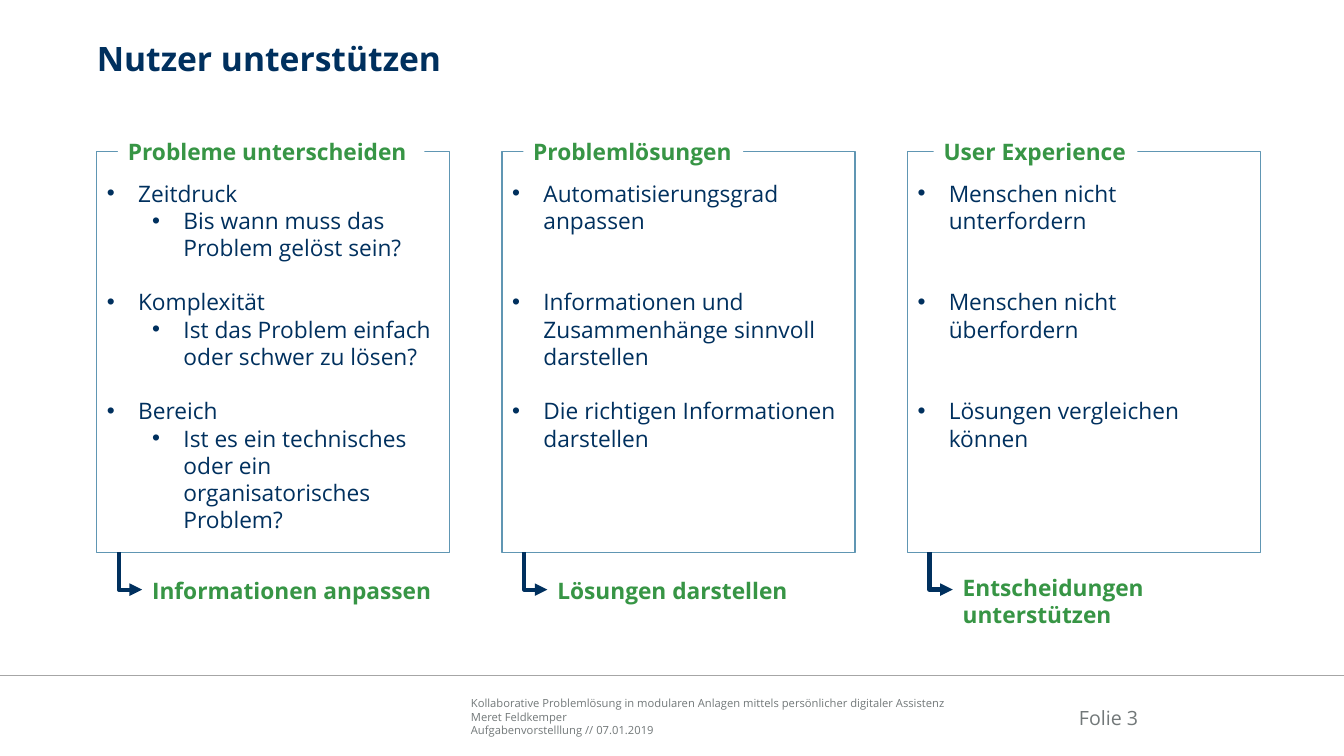
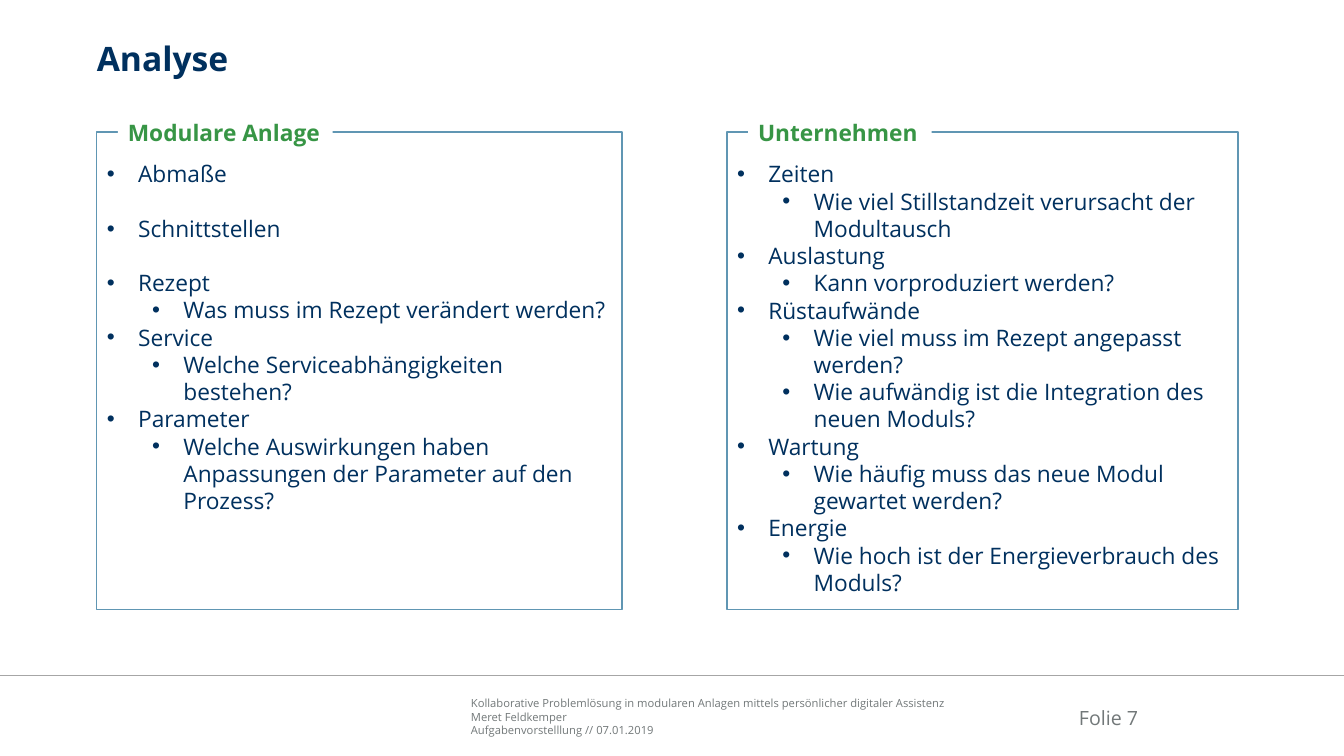
from dataclasses import dataclass
from typing import Optional

from lxml.etree import SubElement
from pptx import Presentation
from pptx.dml.color import RGBColor
from pptx.enum.shapes import MSO_CONNECTOR, MSO_SHAPE
from pptx.enum.text import MSO_ANCHOR, MSO_AUTO_SIZE, PP_ALIGN
from pptx.oxml.ns import qn
from pptx.util import Inches, Pt

COLORS = {
    "navy": "00305E", "green": "379545", "frame": "6096B3",
    "grey": "727879", "rule": "A6A6A6", "white": "FFFFFF",
}
FONT = "Open Sans"
BODY_SIZE = 16.2
BLANK_LINE = 1.2 * BODY_SIZE
WIDTH, HEIGHT = 13.33, 7.5
MARGIN = 0.96
LABEL_HEIGHT = 0.37
LABEL_INDENT = 0.21
RULE_TOP = 6.7
COMPARISON_LAYOUT = 4
BODY_INDEXES = (1, 2, 3, 4)
FOOTER = (
    "Kollaborative Problemlösung in modularen Anlagen mittels persönlicher digitaler Assistenz",
    "Meret Feldkemper",
    "Aufgabenvorstelllung // 07.01.2019",
)


@dataclass(frozen=True)
class Item:
    text: str
    level: int = 0
    blank_lines: int = 0


@dataclass(frozen=True)
class Result:
    text: str
    width: float
    height: float = LABEL_HEIGHT
    drop: float = 0.19


@dataclass(frozen=True)
class Column:
    label: str
    label_width: float
    width: float
    items: tuple[Item, ...]
    label_indent: float = LABEL_INDENT
    result: Optional[Result] = None


@dataclass(frozen=True)
class Page:
    title: str
    number: int
    top: float
    height: float
    pitch: float
    columns: tuple[Column, ...]


PAGES = (
    Page("Nutzer unterstützen", 3, 1.5, 3.98, 4.02, (
        Column("Probleme unterscheiden", 3.04, 3.5, (
            Item("Zeitdruck"),
            Item("Bis wann muss das Problem gelöst sein?", 1),
            Item("Komplexität", 0, 1),
            Item("Ist das Problem einfach oder schwer zu lösen?", 1),
            Item("Bereich", 0, 1),
            Item("Ist es ein technisches oder ein organisatorisches Problem?", 1),
        ), result=Result("Informationen anpassen", 3.04)),
        Column("Problemlösungen", 2.18, 3.5, (
            Item("Automatisierungsgrad anpassen"),
            Item("Informationen und Zusammenhänge sinnvoll darstellen", 0, 2),
            Item("Die richtigen Informationen darstellen", 0, 1),
        ), result=Result("Lösungen darstellen", 2.53)),
        Column("User Experience", 2.02, 3.5, (
            Item("Menschen nicht unterfordern"),
            Item("Menschen nicht überfordern", 0, 2),
            Item("Lösungen vergleichen können", 0, 2),
        ), 0.26, Result("Entscheidungen unterstützen", 3.13, 0.63, 0.17)),
    )),
    Page("Analyse", 7, 1.31, 4.74, 6.25, (
        Column("Modulare Anlage", 2.13, 5.21, (
            Item("Abmaße"),
            Item("Schnittstellen", 0, 1),
            Item("Rezept", 0, 1),
            Item("Was muss im Rezept verändert werden?", 1),
            Item("Service"),
            Item("Welche Serviceabhängigkeiten bestehen?", 1),
            Item("Parameter"),
            Item("Welche Auswirkungen haben Anpassungen der Parameter auf den Prozess?", 1),
        )),
        Column("Unternehmen", 1.82, 5.07, (
            Item("Zeiten"),
            Item("Wie viel Stillstandzeit verursacht der Modultausch", 1),
            Item("Auslastung"),
            Item("Kann vorproduziert werden?", 1),
            Item("Rüstaufwände"),
            Item("Wie viel muss im Rezept angepasst werden?", 1),
            Item("Wie aufwändig ist die Integration des neuen Moduls?", 1),
            Item("Wartung"),
            Item("Wie häufig muss das neue Modul gewartet werden?", 1),
            Item("Energie"),
            Item("Wie hoch ist der Energieverbrauch des Moduls?", 1),
        )),
    )),
)


def color(name: str) -> RGBColor:
    return RGBColor.from_string(COLORS[name])


def style(para, size: float, color_name: str, bold: bool = False, align=PP_ALIGN.LEFT) -> None:
    para.alignment = align
    font = para.font
    font.name, font.size, font.bold = FONT, Pt(size), bold
    font.color.rgb = color(color_name)


def place(shape, left: float, top: float, width: float, height: float) -> None:
    shape.left, shape.top = Inches(left), Inches(top)
    shape.width, shape.height = Inches(width), Inches(height)


def prepare_frame(shape, anchor, insets=(0, 0, 0, 0)):
    """Fix wrapping, anchor and insets (left, top, right, bottom)."""
    frame = shape.text_frame
    frame.word_wrap = True
    frame.auto_size = MSO_AUTO_SIZE.NONE
    frame.vertical_anchor = anchor
    (frame.margin_left, frame.margin_top,
     frame.margin_right, frame.margin_bottom) = map(Inches, insets)
    return frame


def remove_shadow(connector) -> None:
    SubElement(connector.element.spPr, qn("a:effectLst"))


def add_list(box, items: tuple[Item, ...]) -> None:
    frame = prepare_frame(box, MSO_ANCHOR.TOP, (0.1, 0.28, 0.1, 0.05))
    for index, item in enumerate(items):
        para = frame.add_paragraph() if index else frame.paragraphs[0]
        para.text = item.text
        para.level = item.level
        para.space_before = Pt(item.blank_lines * BLANK_LINE)
        para.space_after = Pt(0)
        properties = para._p.get_or_add_pPr()
        properties.set("marL", str(Inches(0.31 + 0.45 * item.level)))
        properties.set("indent", str(Inches(-0.31)))
        SubElement(properties, qn("a:buFont"), typeface="Arial")
        SubElement(properties, qn("a:buChar"), char="•")
        style(para, BODY_SIZE, "navy")


def add_label(slide, text: str, left: float, top: float, width: float, height: float) -> None:
    label = slide.shapes.add_shape(MSO_SHAPE.RECTANGLE, 0, 0, 0, 0)
    place(label, left, top, width, height)
    label.shadow.inherit = False
    label.fill.solid()
    label.fill.fore_color.rgb = color("white")
    label.line.fill.background()
    frame = prepare_frame(label, MSO_ANCHOR.MIDDLE, (0.1, 0.05, 0.1, 0.05))
    frame.text = text
    style(frame.paragraphs[0], BODY_SIZE, "green", bold=True)


def add_arrow(slide, left: float, top: float, width: float, height: float) -> None:
    """Draw an arrow that goes down, then right, as a turned one-bend connector."""
    middle_x, middle_y = left + width / 2, top + height / 2
    arrow = slide.shapes.add_connector(
        MSO_CONNECTOR.ELBOW,
        Inches(middle_x + height / 2), Inches(middle_y - width / 2),
        Inches(middle_x - height / 2), Inches(middle_y + width / 2))
    properties = arrow.element.spPr
    properties.find(qn("a:xfrm")).set("rot", str(270 * 60000))
    properties.find(qn("a:prstGeom")).set("prst", "bentConnector2")
    arrow.line.color.rgb = color("navy")
    arrow.line.width = Pt(3)
    SubElement(arrow.line._get_or_add_ln(), qn("a:tailEnd"), type="triangle")
    remove_shadow(arrow)


def add_column(slide, box, column: Column, page: Page, left: float) -> None:
    place(box, left, page.top, column.width, page.height)
    box.fill.solid()
    box.fill.fore_color.rgb = color("white")
    box.line.color.rgb = color("frame")
    box.line.width = Pt(1)
    add_list(box, column.items)
    add_label(slide, column.label, left + column.label_indent,
              page.top - LABEL_HEIGHT / 2, column.label_width, LABEL_HEIGHT)
    if column.result:
        result, bottom = column.result, page.top + page.height
        add_label(slide, result.text, left + 0.45, bottom + result.drop,
                  result.width, result.height)
        add_arrow(slide, left + 0.22, bottom, 0.23, 0.37)


def move_footer_to_layout(slide) -> None:
    """Draw the rule and the footer text, then let the slide's layout own them."""
    rule = slide.shapes.add_connector(
        MSO_CONNECTOR.STRAIGHT, 0, Inches(RULE_TOP), Inches(WIDTH), Inches(RULE_TOP))
    rule.line.color.rgb = color("rule")
    rule.line.width = Pt(1)
    remove_shadow(rule)
    footer = slide.shapes.add_textbox(0, 0, 0, 0)
    place(footer, 4.67, 6.91, 4.91, 0.4)
    frame = prepare_frame(footer, MSO_ANCHOR.BOTTOM)
    frame.text = "\n".join(FOOTER)
    for para in frame.paragraphs:
        style(para, 8, "grey")
    for shape in (rule, footer):
        slide.slide_layout.shapes.element.append(shape.element)


def add_page_number(slide, number: int) -> None:
    box = slide.shapes.add_textbox(0, 0, 0, 0)
    place(box, 10.3, 6.87, 0.99, 0.5)
    frame = prepare_frame(box, MSO_ANCHOR.MIDDLE)
    frame.text = f"Folie {number}"
    style(frame.paragraphs[0], 14, "grey", align=PP_ALIGN.RIGHT)


def add_page(deck, page: Page):
    slide = deck.slides.add_slide(deck.slide_layouts[COMPARISON_LAYOUT])
    title = slide.shapes.title
    place(title, MARGIN, 0.38, 11.57, 0.75)
    frame = prepare_frame(title, MSO_ANCHOR.TOP)
    frame.text = page.title
    style(frame.paragraphs[0], 24, "navy", bold=True)
    bodies = [shape for shape in slide.placeholders
              if shape.placeholder_format.idx in BODY_INDEXES]
    for index, (box, column) in enumerate(zip(bodies, page.columns)):
        add_column(slide, box, column, page, MARGIN + index * page.pitch)
    for unused in bodies[len(page.columns):]:
        unused.element.getparent().remove(unused.element)
    add_page_number(slide, page.number)
    return slide


def main() -> None:
    deck = Presentation()
    deck.slide_width, deck.slide_height = Inches(WIDTH), Inches(HEIGHT)
    slides = [add_page(deck, page) for page in PAGES]
    move_footer_to_layout(slides[0])
    deck.save("out.pptx")


if __name__ == "__main__":
    main()
